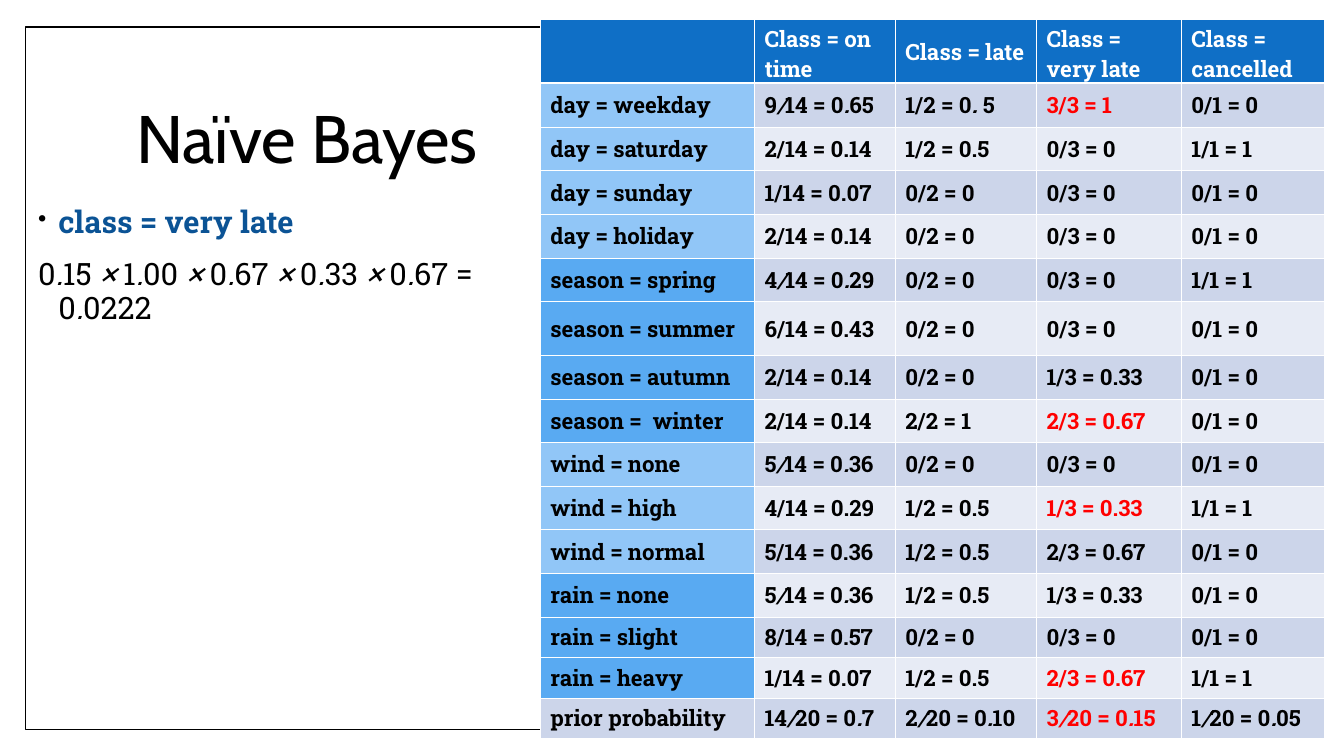
"""Build the Naïve Bayes slide with its table of class probabilities."""
import pptx
import pptx.dml.color
import pptx.enum.shapes
import pptx.enum.text
import pptx.oxml
import pptx.oxml.ns
import pptx.util

Cm, Pt = pptx.util.Cm, pptx.util.Pt
RGB = pptx.dml.color.RGBColor.from_string
ANCHOR = pptx.enum.text.MSO_ANCHOR
NS = pptx.oxml.ns.nsdecls("a")
HUES = {
    "white": "FFFFFF", "black": "000000", "red": "FF0000", "navy": "0B5395",
    "head": "0F6FC6", "light": "91C6F7", "mid": "59AAF2",
    "odd": "CCD5EA", "even": "E7EBF5",
}


def write(para, text, size=16, font="Roboto Slab", hue="black", bold=False):
    """Fill a paragraph; parts between tildes are italic."""
    for i, part in enumerate(text.split("~")):
        if part:
            run = para.add_run()
            run.text = part
            run.font.size = Pt(size)
            run.font.name = font
            run.font.bold = bold
            run.font.italic = i % 2 == 1
            run.font.color.rgb = RGB(HUES[hue])


def edge(cell, side, width):
    """Draw one white cell border."""
    cell._tc.get_or_add_tcPr().append(pptx.oxml.parse_xml(
        f'<a:{side} {NS} w="{Pt(width)}"><a:solidFill>'
        f'<a:srgbClr val="{HUES["white"]}"/></a:solidFill></a:{side}>'))


deck = pptx.Presentation()
deck.slide_width, deck.slide_height = Cm(33.88), Cm(19.05)
slide = deck.slides.add_slide(deck.slide_layouts[6])
shapes = slide.shapes

frame = shapes.add_shape(pptx.enum.shapes.MSO_SHAPE.RECTANGLE,
                         Cm(0.64), Cm(0.68), Cm(32.56), Cm(17.7))
frame.shadow.inherit = False
frame.fill.solid()
frame.fill.fore_color.rgb = RGB(HUES["white"])
frame.line.color.rgb = RGB(HUES["black"])
frame.line.width = Pt(1)

title = shapes.add_textbox(Cm(3.18), Cm(1.7), Cm(27.43), Cm(3.76)).text_frame
title.word_wrap = True
title.vertical_anchor = ANCHOR.MIDDLE
title.paragraphs[0].line_spacing = 0.9
write(title.paragraphs[0], "Naïve Bayes", size=48, font="Cabin")

body = shapes.add_textbox(Cm(0.58), Cm(5.08), Cm(12.98), Cm(12.09)).text_frame
body.word_wrap = True
point, sum_ = body.paragraphs[0], body.add_paragraph()
for para in (point, sum_):
    props = para._p.get_or_add_pPr()
    props.set("marL", str(Cm(0.64)))
    props.set("indent", str(Cm(-0.51)))
    para.line_spacing = 0.9
for mark in (f'<a:buClr {NS}><a:srgbClr val="{HUES["black"]}"/></a:buClr>',
             f'<a:buSzPct {NS} val="80000"/>', f'<a:buChar {NS} char="•"/>'):
    point._p.pPr.append(pptx.oxml.parse_xml(mark))
sum_.space_before = Pt(14)
write(point, "class = very late", size=22, hue="navy", bold=True)
write(sum_, "0~.~15 ~× ~1~.~00 ~× ~0~.~67 ~× ~0~.~33 ~× ~0~.~67 = 0~.~0222", size=22)

rows = [
    ["", "Class = on time", "Class = late", "Class = very late", "Class = cancelled"],
    ["day = weekday", "9~/~14 = 0~.~65", "1/2 = 0~.~ 5", "3/3 = 1", "0/1 = 0"],
    ["day = saturday", "2/14 = 0.14", "1/2 = 0.5", "0/3 = 0", "1/1 = 1"],
    ["day = sunday", "1/14 = 0.07", "0/2 = 0", "0/3 = 0", "0/1 = 0"],
    ["day = holiday", "2/14 = 0.14", "0/2 = 0", "0/3 = 0", "0/1 = 0"],
    ["season = spring", "4~/~14 = 0~.~29", "0/2 = 0", "0/3 = 0", "1/1 = 1"],
    ["season = summer", "6/14 = 0.43", "0/2 = 0", "0/3 = 0", "0/1 = 0"],
    ["season = autumn", "2/14 = 0.14", "0/2 = 0", "1/3 = 0.33", "0/1 = 0"],
    ["season =  winter", "2/14 = 0.14", "2/2 = 1", "2/3 = 0.67", "0/1 = 0"],
    ["wind = none", "5~/~14 = 0~.~36", "0/2 = 0", "0/3 = 0", "0/1 = 0"],
    ["wind = high", "4/14 = 0.29", "1/2 = 0.5", "1/3 = 0.33", "1/1 = 1"],
    ["wind = normal", "5/14 = 0.36", "1/2 = 0.5", "2/3 = 0.67", "0/1 = 0"],
    ["rain = none", "5~/~14 = 0~.~36", "1/2 = 0.5", "1/3 = 0.33", "0/1 = 0"],
    ["rain = slight", "8/14 = 0.57", "0/2 = 0", "0/3 = 0", "0/1 = 0"],
    ["rain = heavy", "1/14 = 0.07", "1/2 = 0.5", "2/3 = 0.67", "1/1 = 1"],
    ["prior probability", "14~/~20 = 0~.~7", "2~/~20 = 0~.~10",
     "3~/~20 = 0~.~15", "1~/~20 = 0~.~05"],
]
wide = [5.4, 3.55, 3.56, 3.65, 3.6]
high = [1.55] + [1.1] * 5 + [1.35] + [1.1] * 6 + [1.02] * 3
tint = {"day": "light", "season": "mid", "wind": "light", "rain": "mid"}
picks = {1, 8, 10, 14, 15}
last = len(rows) - 1

table = shapes.add_table(len(rows), len(wide), Cm(13.62), Cm(0.49),
                         Cm(sum(wide)), Cm(sum(high))).table
for col, width in zip(table.columns, wide):
    col.width = Cm(width)
for r, (row, height) in enumerate(zip(rows, high)):
    table.rows[r].height = Cm(height)
    band = "odd" if r % 2 else "even"
    for c, text in enumerate(row):
        cell = table.cell(r, c)
        top = r == last and c > 0
        cell.vertical_anchor = ANCHOR.TOP if top else ANCHOR.MIDDLE
        for side in ("lnL", "lnR", "lnT", "lnB"):
            thick = (r, side) in ((0, "lnB"), (1, "lnT"))
            edge(cell, side, 1.47 if thick else 0.45)
        fill, hue = band, "black"
        if r == 0:
            fill, hue = "head", "white"
        elif c == 0:
            fill = tint.get(text.split()[0], band)
        elif c == 3 and r in picks:
            hue = "red"
        cell.fill.solid()
        cell.fill.fore_color.rgb = RGB(HUES[fill])
        write(cell.text_frame.paragraphs[0], text, hue=hue, bold=True)

deck.save("out.pptx")
